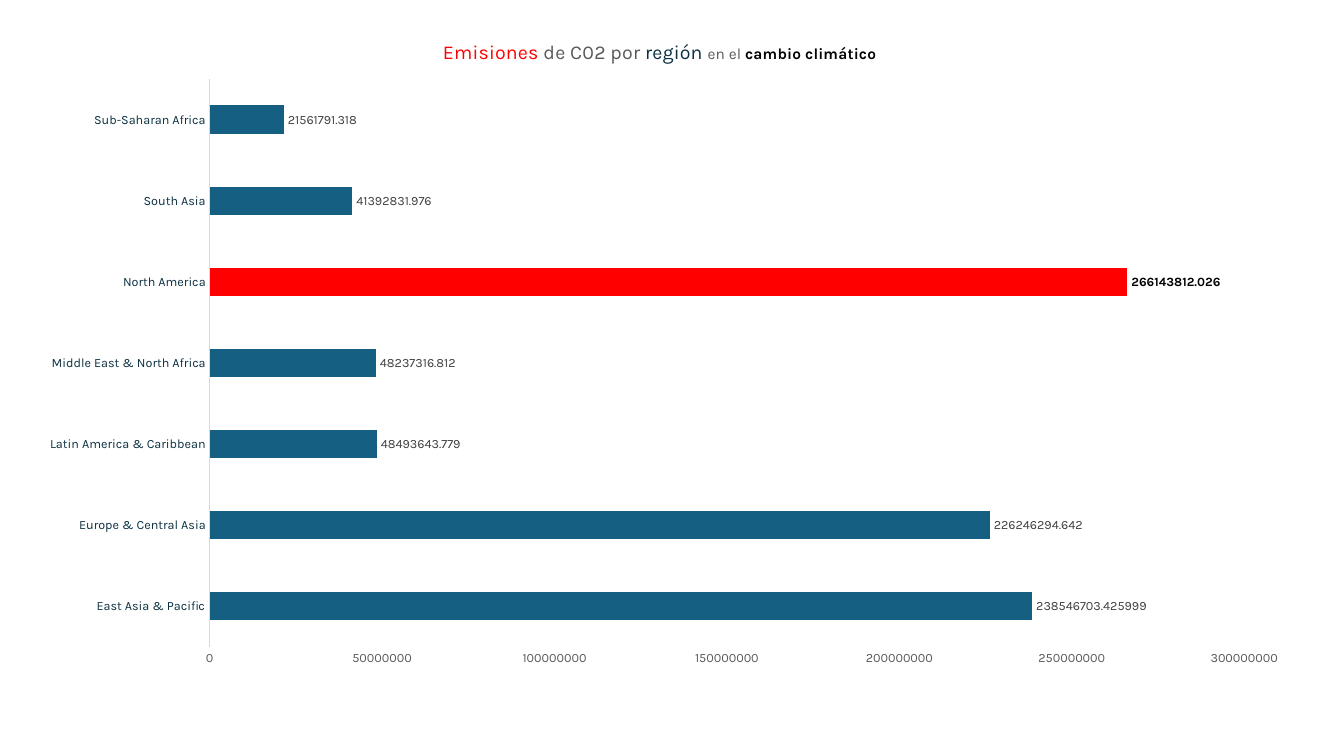
from dataclasses import dataclass

from lxml.etree import SubElement
from pptx import Presentation
from pptx.chart.data import CategoryChartData
from pptx.dml.color import RGBColor
from pptx.enum.chart import XL_CHART_TYPE as ChartType
from pptx.enum.chart import XL_LABEL_POSITION as LabelPosition
from pptx.enum.chart import XL_TICK_MARK as TickMark
from pptx.oxml.ns import qn
from pptx.util import Cm, Pt


@dataclass(frozen=True)
class Theme:
    font: str = "Karla"
    blue: str = "156082"
    navy: str = "0B3041"
    red: str = "FF0000"
    black: str = "000000"
    gray: str = "595959"
    label_gray: str = "404040"
    line: str = "D9D9D9"
    title_size: float = 14
    subtitle_size: float = 11
    label_size: float = 9


THEME = Theme()
EMISSIONS = {
    "East Asia & Pacific": 238546703.425999,
    "Europe & Central Asia": 226246294.642,
    "Latin America & Caribbean": 48493643.779,
    "Middle East & North Africa": 48237316.812,
    "North America": 266143812.026,
    "South Asia": 41392831.976,
    "Sub-Saharan Africa": 21561791.318,
}
HIGHLIGHT = "North America"
TITLE_SPANS = [
    ("Emisiones", THEME.title_size, THEME.red, False),
    (" de C02 por ", THEME.title_size, THEME.gray, False),
    ("región ", THEME.title_size, THEME.navy, False),
    ("en el ", THEME.subtitle_size, THEME.gray, False),
    ("cambio climático", THEME.subtitle_size, THEME.black, True),
]


def place(element, **fractions):
    """Fix a title or plot area at fractions of the chart's size."""
    layout = element.find(qn("c:layout"))
    if layout is None:
        layout = SubElement(element, qn("c:layout"))
        after = element.find(qn("c:tx"))
        element.insert(0 if after is None else element.index(after) + 1, layout)
    manual = SubElement(layout, qn("c:manualLayout"))
    settings = {"xMode": "edge", "yMode": "edge", **fractions}
    if "w" in fractions:
        settings = {"layoutTarget": "inner", **settings}
    for name, value in settings.items():
        SubElement(manual, qn(f"c:{name}")).set("val", str(value))


class SlideBuilder:
    def __init__(self, deck, theme):
        self.theme = theme
        self.slide = deck.slides.add_slide(deck.slide_layouts[6])

    def style_font(self, font, size, color, bold=False):
        font.name = self.theme.font
        font.size = Pt(size)
        font.bold = bold
        font.color.rgb = RGBColor.from_string(color)

    def add_bar_chart(self, values, left, top, width, height):
        data = CategoryChartData()
        data.categories = list(values)
        data.add_series("Series 1", list(values.values()))
        chart = self.slide.shapes.add_chart(
            ChartType.BAR_CLUSTERED, left, top, width, height, data).chart
        self.style_font(chart.font, 10, self.theme.black)
        chart.has_legend = False
        place(chart.plots[0]._element.getparent(),
              x=0.145, y=0.098, w=0.809, h=0.854)
        self.style_axes(chart)
        self.style_bars(chart.plots[0])
        return chart

    def style_axes(self, chart):
        colors = {chart.category_axis: self.theme.navy,
                  chart.value_axis: self.theme.gray}
        for axis, color in colors.items():
            axis.has_major_gridlines = False
            axis.major_tick_mark = axis.minor_tick_mark = TickMark.NONE
            self.style_font(axis.tick_labels.font, self.theme.label_size, color)
        line = chart.category_axis.format.line
        line.color.rgb = RGBColor.from_string(self.theme.line)
        line.width = Pt(0.75)
        value_axis = chart.value_axis
        value_axis.format.line.fill.background()
        value_axis.minimum_scale, value_axis.maximum_scale = 0, 300_000_000
        value_axis.major_unit = 50_000_000
        value_axis.tick_labels.number_format = "0"
        value_axis.tick_labels.number_format_is_linked = False

    def style_bars(self, plot):
        plot.gap_width = 182
        plot.vary_by_categories = False
        series = plot.series[0]
        self.fill(series, self.theme.blue)
        labels = series.data_labels
        labels.show_value = True
        labels.position = LabelPosition.OUTSIDE_END
        labels.number_format = "General"
        labels.number_format_is_linked = False
        self.style_font(labels.font, self.theme.label_size, self.theme.label_gray)

    def fill(self, item, color):
        item.format.fill.solid()
        item.format.fill.fore_color.rgb = RGBColor.from_string(color)

    def highlight_bar(self, chart, index):
        point = chart.plots[0].series[0].points[index]
        self.fill(point, self.theme.red)
        label = point.data_label
        self.style_font(label.font, self.theme.label_size, self.theme.black, True)
        label.position = LabelPosition.OUTSIDE_END

    def add_chart_title(self, chart, spans):
        title = chart.chart_title
        para = title.text_frame.paragraphs[0]
        for text, size, color, bold in spans:
            span = para.add_run()
            span.text = text
            self.style_font(span.font, size, color, bold)
        title.include_in_layout = False
        place(title._element, x=0.325, y=0.033)


def main():
    deck = Presentation()
    deck.slide_width, deck.slide_height = Cm(33.87), Cm(19.05)
    page = SlideBuilder(deck, THEME)
    chart = page.add_bar_chart(EMISSIONS, Cm(0.61), Cm(0.36), Cm(32.23), Cm(16.74))
    page.highlight_bar(chart, list(EMISSIONS).index(HIGHLIGHT))
    page.add_chart_title(chart, TITLE_SPANS)
    deck.save("out.pptx")


if __name__ == "__main__":
    main()
